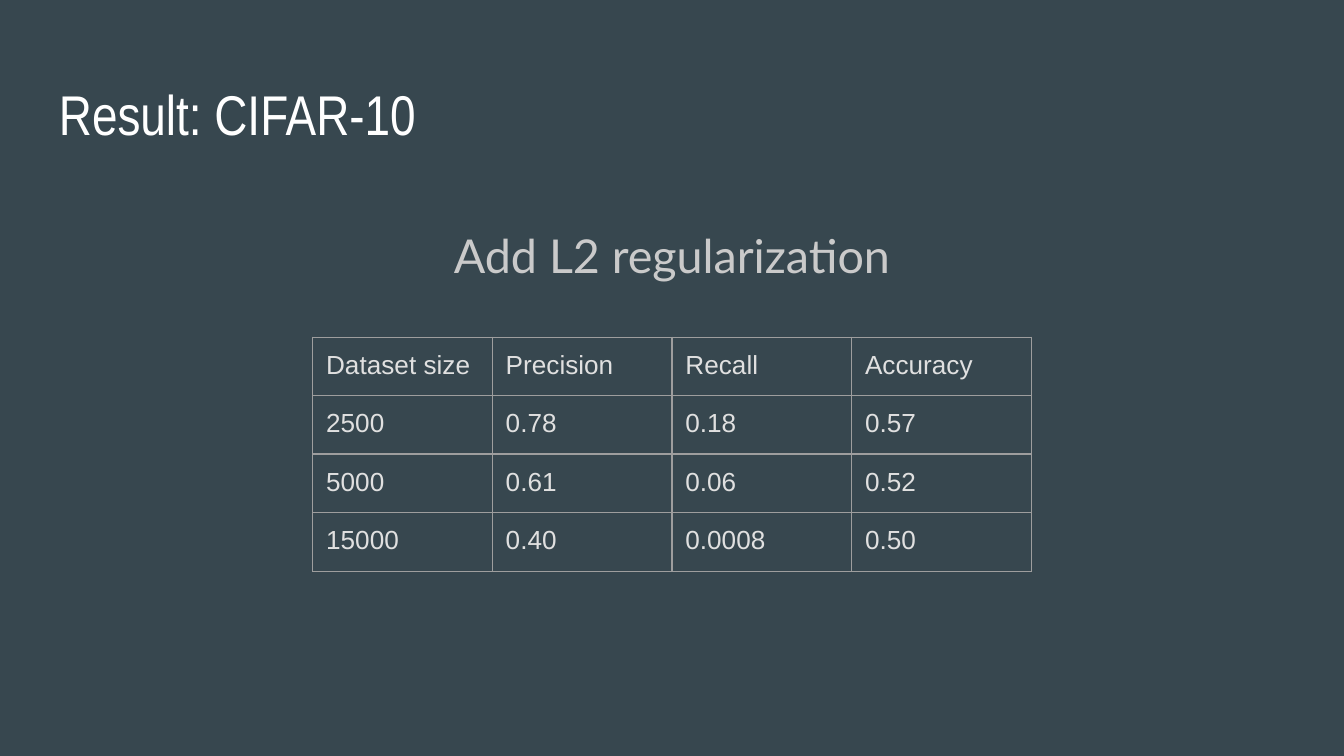
import dataclasses

import lxml.etree
import pptx
import pptx.dml.color
import pptx.enum.text
import pptx.oxml.ns
import pptx.util

Pt = pptx.util.Pt
ALIGN = pptx.enum.text.PP_ALIGN
INK = {
    "back": "37474F",
    "title": "FFFFFF",
    "note": "CACACA",
    "cell": "E0E0E0",
    "rule": "9E9E9E",
}
PAD = 7.2


@dataclasses.dataclass
class Label:
    text: str
    left: float
    top: float
    width: float
    height: float
    font: str
    size: float
    ink: str
    align: ALIGN = ALIGN.LEFT


@dataclasses.dataclass
class Grid:
    left: float
    top: float
    col: float
    rows: list[float]
    data: list[list[str]]


LABELS = [
    Label("Result: CIFAR-10", 24.5, 35.3, 671, 45.4, "Arial Narrow", 30, "title"),
    Label("Add L2 regularization", 158.4, 114.5, 403.2, 46.8, "Lato", 25, "note",
          ALIGN.CENTER),
]
RESULTS = Grid(167.5, 180.7, 96.25, [27.4, 29.5, 30.2, 31.7], [
    ["Dataset size", "Precision", "Recall", "Accuracy"],
    ["2500", "0.78", "0.18", "0.57"],
    ["5000", "0.61", "0.06", "0.52"],
    ["15000", "0.40", "0.0008", "0.50"],
])


def color(ink: str) -> pptx.dml.color.RGBColor:
    return pptx.dml.color.RGBColor.from_string(INK[ink])


def write(frame, text: str, *, font: str, size: float, ink: str,
          align: ALIGN = ALIGN.LEFT) -> None:
    """Put one formatted line of text in a frame."""
    frame.word_wrap = True
    line = frame.paragraphs[0]
    line.alignment = align
    run = line.add_run()
    run.text = text
    run.font.name = font
    run.font.size = Pt(size)
    run.font.color.rgb = color(ink)


def pad(box) -> None:
    """Give a text frame or a cell equal margins."""
    box.margin_left = box.margin_right = Pt(PAD)
    box.margin_top = box.margin_bottom = Pt(PAD)


def draw_label(slide, label: Label) -> None:
    box = slide.shapes.add_textbox(
        Pt(label.left), Pt(label.top), Pt(label.width), Pt(label.height))
    pad(box.text_frame)
    write(box.text_frame, label.text, font=label.font, size=label.size,
          ink=label.ink, align=label.align)


def rule_cell(cell, ink: str, width: float) -> None:
    """Draw all four borders; they must come before the cell's fill."""
    props = cell._tc.get_or_add_tcPr()
    name = pptx.oxml.ns.qn
    for spot, side in enumerate(("lnL", "lnR", "lnT", "lnB")):
        line = lxml.etree.Element(name(f"a:{side}"), w=str(Pt(width)))
        fill = lxml.etree.SubElement(line, name("a:solidFill"))
        lxml.etree.SubElement(fill, name("a:srgbClr"), val=INK[ink])
        props.insert(spot, line)


def draw_grid(slide, grid: Grid) -> None:
    count = len(grid.data[0])
    table = slide.shapes.add_table(
        len(grid.rows), count, Pt(grid.left), Pt(grid.top),
        Pt(grid.col * count), Pt(sum(grid.rows))).table
    table.first_row = table.horz_banding = False
    for col in table.columns:
        col.width = Pt(grid.col)
    for r, (high, texts) in enumerate(zip(grid.rows, grid.data)):
        table.rows[r].height = Pt(high)
        for c, text in enumerate(texts):
            cell = table.cell(r, c)
            pad(cell)
            cell.fill.background()
            rule_cell(cell, "rule", 0.75)
            write(cell.text_frame, text, font="Arial", size=14, ink="cell")


def main() -> None:
    deck = pptx.Presentation()
    deck.slide_width, deck.slide_height = Pt(720), Pt(405)
    slide = deck.slides.add_slide(deck.slide_layouts[6])

    # Background
    slide.background.fill.solid()
    slide.background.fill.fore_color.rgb = color("back")

    # Title and subheading
    for label in LABELS:
        draw_label(slide, label)

    # Results table
    draw_grid(slide, RESULTS)

    deck.save("out.pptx")


if __name__ == "__main__":
    main()
